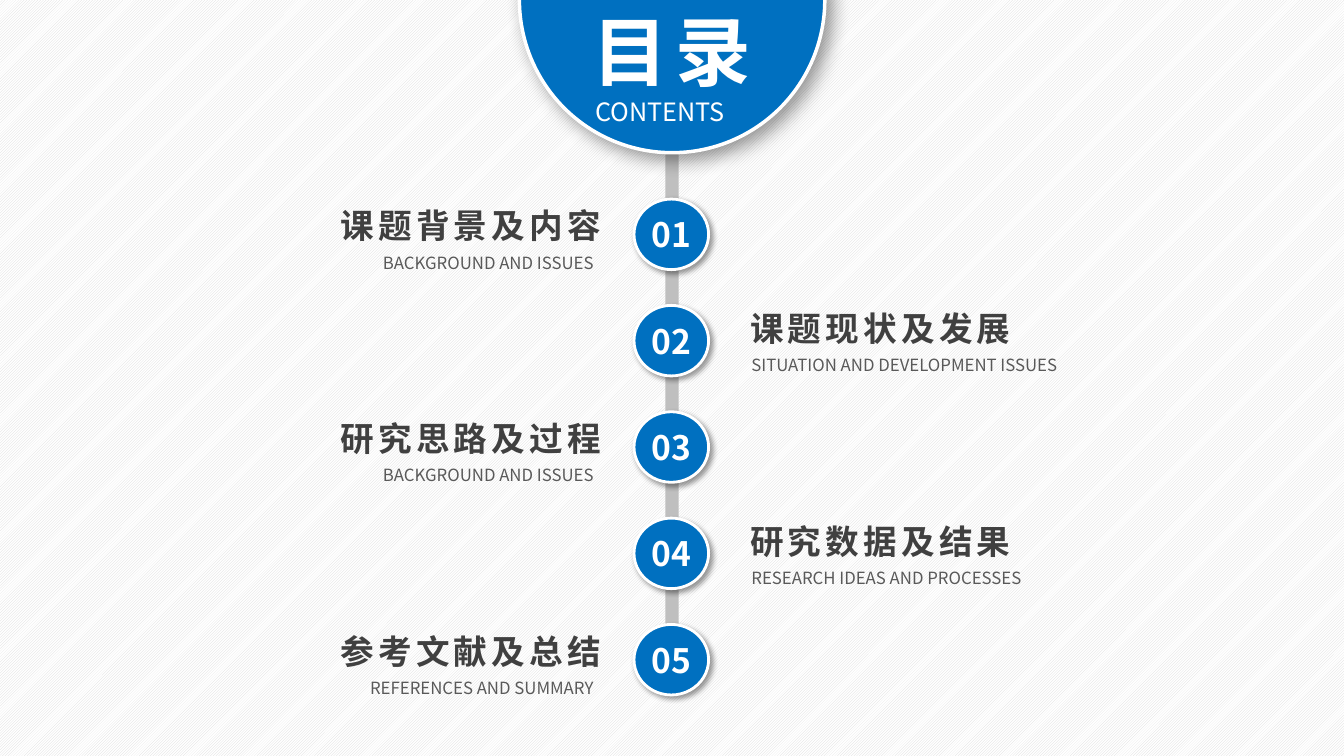
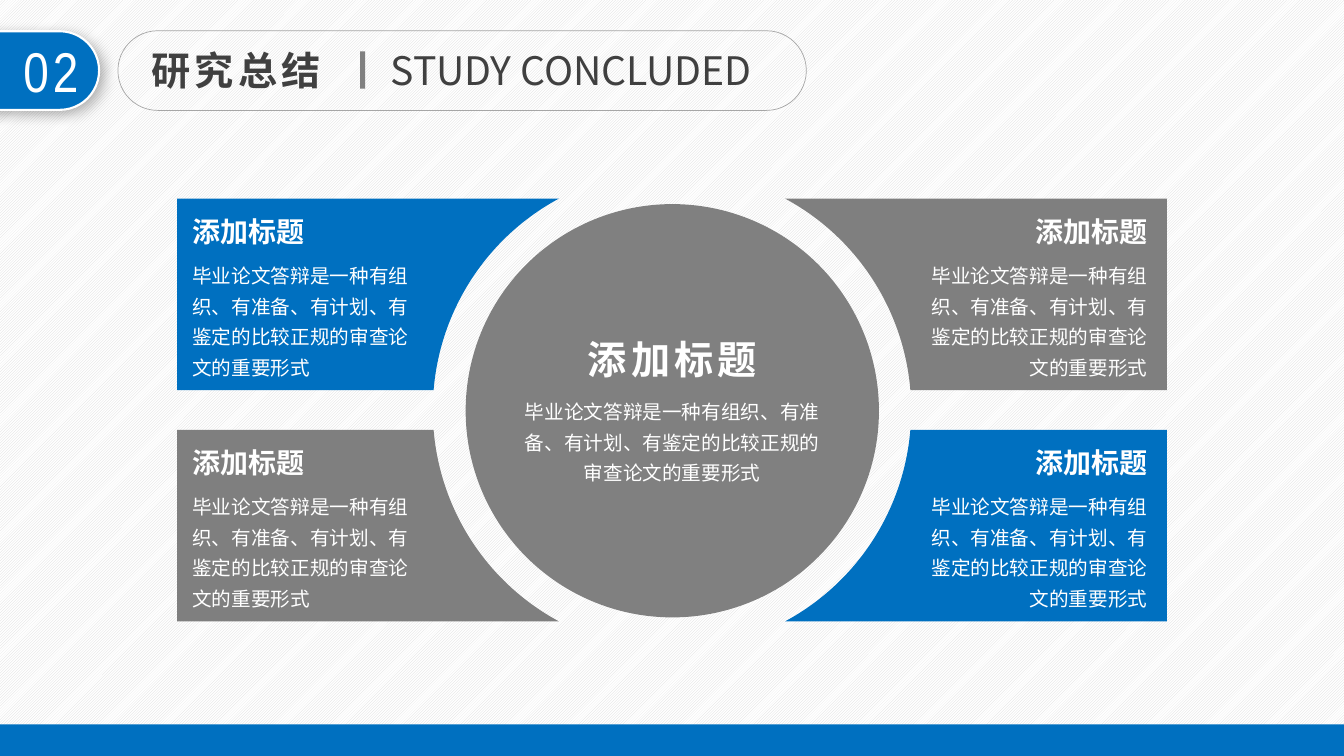
"""Build the contents page and the study conclusion page of a thesis defence deck."""
from math import asin, cos, pi, sin, tan

from lxml import etree
from pptx import Presentation
from pptx import util as u
from pptx.dml.color import RGBColor
from pptx.enum import dml, shapes, text
from pptx.oxml.ns import qn

COLORS = {"blue": "0070C0", "white": "FFFFFF", "dark": "404040", "text": "595959",
          "gray": "808080", "panel": "7F7F7F", "spine": "BFBFBF", "outline": "A6A6A6",
          "hatch": "D9D9D9", "shadow": "000000"}
SANS, LATIN, NARROW = "Noto Sans CJK SC", "Arial", "Arial Narrow"
LEFT, CENTER, RIGHT = text.PP_ALIGN.LEFT, text.PP_ALIGN.CENTER, text.PP_ALIGN.RIGHT
RECT = shapes.MSO_SHAPE.RECTANGLE
OVAL = shapes.MSO_SHAPE.OVAL
PILL = shapes.MSO_SHAPE.ROUNDED_RECTANGLE
COLUMNS, ROWS = 40, 30

deck = Presentation()
deck.slide_width, deck.slide_height = u.Inches(40 / 3), u.Inches(7.5)
COLUMN, ROW = deck.slide_width / COLUMNS, deck.slide_height / ROWS

backdrop = deck.slide_master.background.fill
backdrop.patterned()
backdrop.pattern = dml.MSO_PATTERN.LIGHT_UPWARD_DIAGONAL
backdrop.fore_color.rgb = RGBColor.from_string(COLORS["hatch"])
backdrop.back_color.rgb = RGBColor.from_string(COLORS["white"])


def draw(page, kind, column, row, columns, rows, fill=None, line=None, weight=1, shadow=None):
    """Place a title, a text box or a styled preset shape on the grid."""
    area = [round(column * COLUMN), round(row * ROW), round(columns * COLUMN), round(rows * ROW)]
    if kind == "title":
        box = page.shapes.title
        page.shapes._spTree.append(box._element)
        box.left, box.top, box.width, box.height = area
        return box
    if kind == "text":
        return page.shapes.add_textbox(*area)
    box = page.shapes.add_shape(kind, *area)
    if kind == PILL:
        box.adjustments[0] = 0.5
    box.fill.background()
    if fill:
        box.fill.solid()
        box.fill.fore_color.rgb = RGBColor.from_string(COLORS[fill])
    box.line.fill.background()
    if line:
        box.line.color.rgb = RGBColor.from_string(COLORS[line])
        box.line.width = u.Pt(weight)
    box.shadow.inherit = False
    if shadow:
        alpha, blur, distance = shadow
        effects = box._element.spPr.find(qn("a:effectLst"))
        outer = etree.SubElement(effects, qn("a:outerShdw"), blurRad=str(u.Pt(blur)),
                                 dist=str(u.Pt(distance)), dir="2700000", algn="tl", rotWithShape="0")
        tint = etree.SubElement(outer, qn("a:srgbClr"), val=COLORS["shadow"])
        etree.SubElement(tint, qn("a:alpha"), val=str(alpha * 1000))
    return box


def write(box, wording, size, color="white", bold=False, align=LEFT, spacing=0,
          font=SANS, leading=1.0, anchor=text.MSO_ANCHOR.TOP, wrap=True):
    """Set one formatted paragraph in a box."""
    frame = box.text_frame
    frame.text = wording
    frame.word_wrap = wrap
    frame.auto_size = text.MSO_AUTO_SIZE.NONE
    frame.vertical_anchor = anchor
    para = frame.paragraphs[0]
    para.alignment, para.line_spacing = align, leading
    span = para.runs[0]
    span.font.name, span.font.size, span.font.bold = font, u.Pt(size), bold
    span.font.color.rgb = RGBColor.from_string(COLORS[color])
    properties = span.font._element
    properties.set("spc", str(spacing * 100))
    etree.SubElement(properties, qn("a:ea"), typeface=SANS)


title_only = deck.slide_layouts[5]

page = deck.slides.add_slide(title_only)
draw(page, RECT, 19.8, 5.24, 0.4, 20.28, "spine")
draw(page, OVAL, 15.46, -6.06, 9.09, 12.12, "blue", "white", 2.5, (40, 13, 6))
write(draw(page, "text", 17.43, 3.63, 5.13, 1.6), "CONTENTS", 18)
write(draw(page, "title", 15.21, 0, 9.57, 4.04), "目录", 54, bold=True, align=CENTER, spacing=6)

chapters = [("课题背景及内容", "BACKGROUND AND ISSUES"),
            ("课题现状及发展", "SITUATION AND DEVELOPMENT ISSUES"),
            ("研究思路及过程", "BACKGROUND AND ISSUES"),
            ("研究数据及结果", "RESEARCH IDEAS AND PROCESSES"),
            ("参考文献及总结", "REFERENCES AND SUMMARY")]
for index, (chapter, translation) in enumerate(chapters):
    node_row = 7.9 + 4.22 * index
    node = draw(page, OVAL, 18.87, node_row, 2.22, 2.8, "blue", "white", 2, (40, 4, 3))
    write(node, f"{index + 1:02}", 24, bold=True, align=CENTER,
          anchor=text.MSO_ANCHOR.MIDDLE, wrap=False)
    if index % 2:
        align, heading_column, detail_column, shift = LEFT, 22.03, 22.07, -0.1
    else:
        align, heading_column, detail_column, shift = RIGHT, 9.03, 7.23, 0.05
    heading = draw(page, "text", heading_column, node_row + shift, 9.15, 2)
    write(heading, chapter, 24, "dark", True, align, 3)
    detail = draw(page, "text", detail_column, node_row + shift + 1.87, 10.74, 1.2)
    write(detail, translation, 12, "text", align=align)

page = deck.slides.add_slide(title_only)
draw(page, PILL, -3.38, 1.24, 6.33, 3.12, "blue", "white", 1.5, (30, 10, 4))
write(draw(page, "text", 0.06, 1.24, 2.91, 3.08), "02", 40, align=CENTER, spacing=3, font=NARROW)
draw(page, PILL, 3.51, 1.22, 20.49, 3.16, line="outline", weight=0.5)
write(draw(page, "title", 4.21, 1.64, 5.88, 2.28), "研究总结", 28, "dark", True, spacing=3)
draw(page, RECT, 10.72, 2.04, 0.15, 1.48, "gray")
write(draw(page, "text", 11.33, 1.64, 12.18, 2.28), "STUDY CONCLUDED", 28, "dark")
draw(page, RECT, 0, 28.75, COLUMNS, 1.25, "blue")

HEADING = "添加标题"
SUMMARY = "毕业论文答辩是一种有组织、有准备、有计划、有鉴定的比较正规的审查论文的重要形式"
CENTER_COLUMN, CENTER_ROW = 20, 16.27
ARC_COLUMNS, ARC_ROWS = 7.12, 9.52
PANEL_ROWS = 7.6
panels = [(-1, 7.88, "blue"), (-1, 17.06, "panel"), (1, 7.88, "panel"), (1, 17.06, "blue")]
for side, top, fill in panels:
    bottom = top + PANEL_ROWS
    outer_column = CENTER_COLUMN + side * 14.73
    start, end = [asin((row - CENTER_ROW) / ARC_ROWS) for row in (top, bottom)]
    pull = 4 / 3 * tan((end - start) / 4)
    arc = [(cos(start), sin(start)),
           (cos(start) - pull * sin(start), sin(start) + pull * cos(start)),
           (cos(end) + pull * sin(end), sin(end) - pull * cos(end)),
           (cos(end), sin(end))]
    curve = [(round((CENTER_COLUMN + side * ARC_COLUMNS * across) * COLUMN),
              round((CENTER_ROW + ARC_ROWS * down) * ROW)) for across, down in arc]
    builder = page.shapes.build_freeform(round(outer_column * COLUMN), round(top * ROW))
    builder.add_line_segments([curve[0], curve[3], (round(outer_column * COLUMN), round(bottom * ROW))])
    panel = builder.convert_to_shape()
    straight = panel._element.findall(".//" + qn("a:lnTo"))[1]
    bend = etree.Element(qn("a:cubicBezTo"))
    for x, y in curve[1:]:
        etree.SubElement(bend, qn("a:pt"), x=str(x - panel.left), y=str(y - panel.top))
    straight.getparent().replace(straight, bend)
    panel.fill.solid()
    panel.fill.fore_color.rgb = RGBColor.from_string(COLORS[fill])
    panel.line.fill.background()
    panel.shadow.inherit = False
    align, column = (LEFT, 5.43) if side < 0 else (RIGHT, 27.28)
    write(draw(page, "text", column, top + 2.12, 7.17, 5.32), SUMMARY, 14,
          align=align, font=LATIN, leading=1.3)
    write(draw(page, "text", column, top + 0.44, 7.17, 1.76), HEADING, 20, bold=True, align=align)

draw(page, OVAL, 13.86, 8.1, 12.3, 16.4, "gray")
write(draw(page, "text", 15.06, 15.4, 9.9, 4.08), SUMMARY, 14,
      align=CENTER, font=LATIN, leading=1.3)
write(draw(page, "text", 15.06, 13.12, 9.9, 2.28), HEADING, 28,
      bold=True, align=CENTER, spacing=3)

deck.save("out.pptx")
